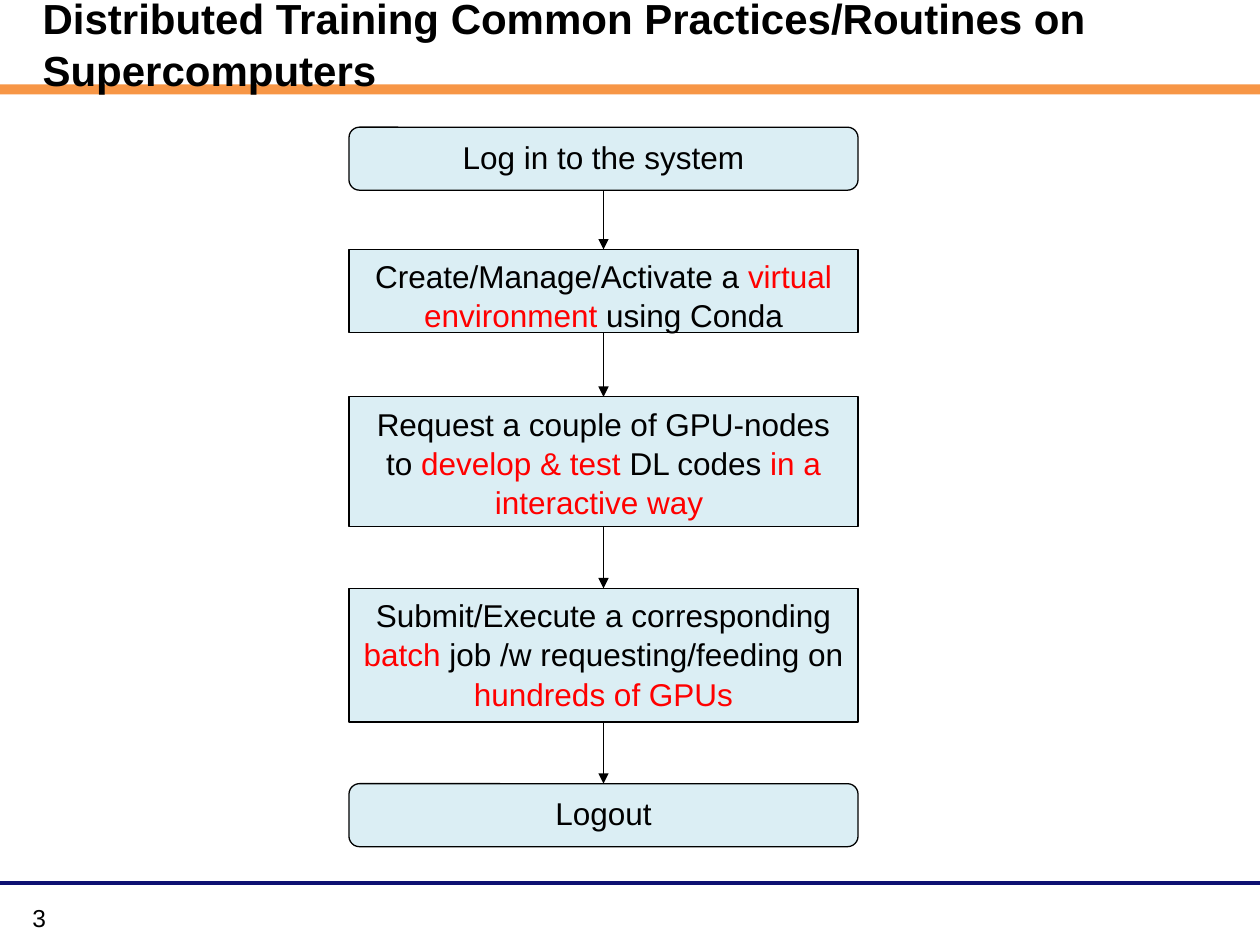
from pptx import Presentation
from pptx.dml.color import RGBColor
from pptx.enum.shapes import MSO_CONNECTOR as Connector, MSO_SHAPE as Shape
from pptx.enum.text import MSO_ANCHOR as Anchor, PP_ALIGN as Align
from pptx.oxml.ns import qn
from pptx.util import Pt
from lxml.etree import SubElement

PX = 9144  # EMU per px: 100 px to the inch
BLACK, RED, PALE_BLUE, ORANGE, NAVY = "000000", "FF0000", "DBEEF4", "F79646", "0E1172"

TITLE = "Distributed Training Common Practices/Routines on Supercomputers"
PAGE_NUMBER = "3"
ROUNDED, PLAIN = Shape.FLOWCHART_ALTERNATE_PROCESS, Shape.RECTANGLE

# Steps: outline, top, height, text runs
STEPS = [
    (ROUNDED, 101, 50, [("Log in to the system", BLACK)]),
    (PLAIN, 198, 66, [("Create/Manage/Activate a ", BLACK), ("virtual environment", RED),
                      (" using Conda", BLACK)]),
    (PLAIN, 315, 103, [("Request a couple of GPU-nodes to ", BLACK), ("develop & test ", RED),
                       ("DL codes ", BLACK), ("in a interactive way ", RED)]),
    (PLAIN, 467, 106, [("Submit/Execute a corresponding ", BLACK), ("batch", RED),
                       (" job /w requesting/feeding on ", BLACK), ("hundreds of GPUs", RED)]),
    (ROUNDED, 622, 50, [("Logout", BLACK)]),
]
STEP_LEFT, STEP_WIDTH = 277, 404

prs = Presentation()
prs.slide_width, prs.slide_height = 1000 * PX, 750 * PX
slide = prs.slides.add_slide(prs.slide_layouts[6])


def rgb(color):
    return RGBColor.from_string(color)


def write(shape, runs, size=18, bold=False, align=Align.LEFT, anchor=Anchor.TOP):
    frame = shape.text_frame
    frame.word_wrap = True
    frame.vertical_anchor = anchor
    paragraph = frame.paragraphs[0]
    paragraph.alignment = align
    paragraph.line_spacing = 1.04
    for text, color in runs:
        run = paragraph.add_run()
        run.text = text
        run.font.name, run.font.size, run.font.bold = "Arial", Pt(size), bold
        run.font.color.rgb = rgb(color)


def add_text(left, top, width, height, text, **style):
    box = slide.shapes.add_textbox(left * PX, top * PX, width * PX, height * PX)
    write(box, [(text, BLACK)], **style)


def add_block(outline, left, top, width, height, fill, line=None):
    block = slide.shapes.add_shape(outline, left * PX, top * PX, width * PX, height * PX)
    block.shadow.inherit = False
    block.fill.solid()
    block.fill.fore_color.rgb = rgb(fill)
    if line:
        block.line.color.rgb = rgb(line)
        block.line.width = Pt(0.75)
    else:
        block.line.fill.background()
    return block


def add_line(x1, y1, x2, y2, color, weight, arrow=False):
    line = slide.shapes.add_connector(Connector.STRAIGHT, x1 * PX, y1 * PX, x2 * PX, y2 * PX)
    line.line.color.rgb = rgb(color)
    line.line.width = Pt(weight)
    if arrow:
        SubElement(line.line._get_or_add_ln(), qn("a:tailEnd"), type="triangle")
    SubElement(line._element.spPr, qn("a:effectLst"))


# Frame: footer rule, title band, title and page number
add_line(0, 701, 1000, 701, NAVY, 2.25)
add_block(PLAIN, 0, 67, 1000, 8, ORANGE)
add_text(24, 3, 976, 62, TITLE, size=24, bold=True, anchor=Anchor.MIDDLE)
add_text(16, 711, 233, 26, PAGE_NUMBER, size=14)

# Flowchart steps
for outline, top, height, runs in STEPS:
    step = add_block(outline, STEP_LEFT, top, STEP_WIDTH, height, PALE_BLUE, BLACK)
    write(step, runs, align=Align.CENTER)

# Arrows from each step to the next
center = STEP_LEFT + STEP_WIDTH // 2
for (_, top, height, _), (_, next_top, _, _) in zip(STEPS, STEPS[1:]):
    add_line(center, top + height, center, next_top, BLACK, 0.75, arrow=True)

prs.save("out.pptx")
